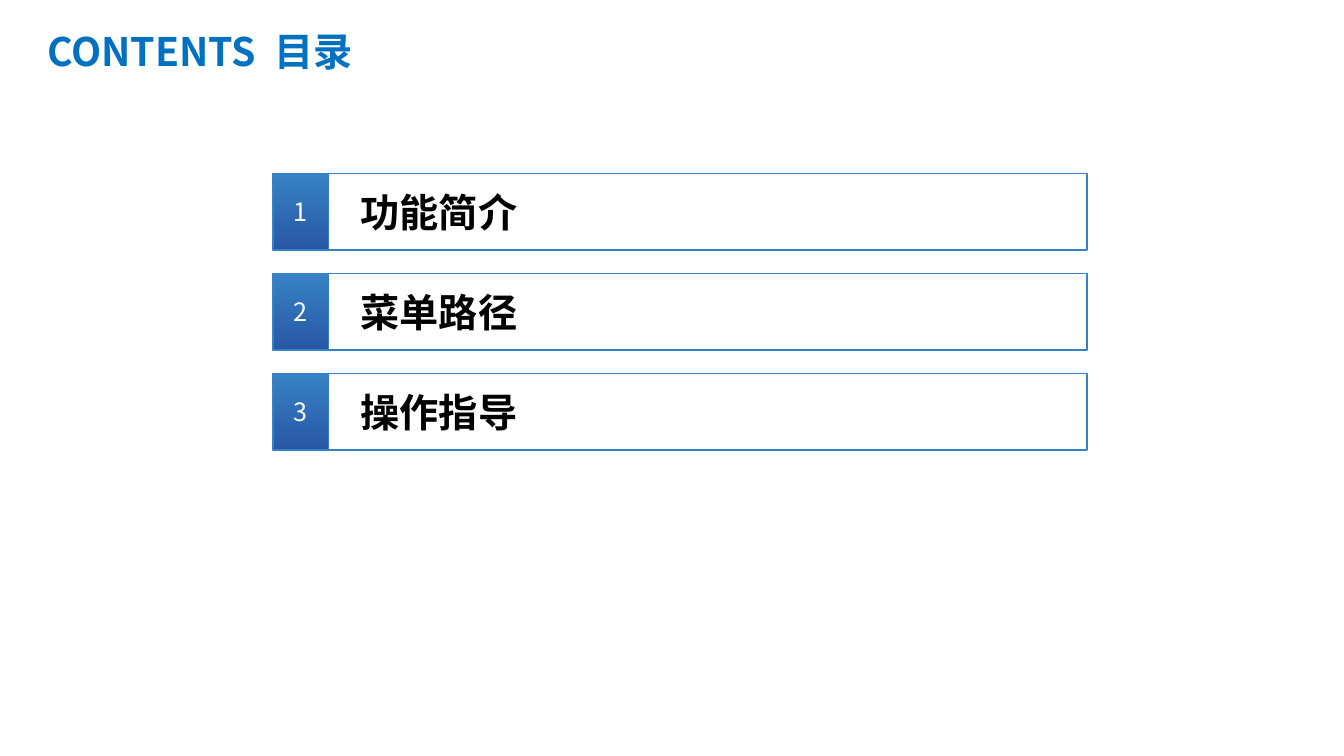
from lxml import etree
from pptx import Presentation
from pptx import util as u
from pptx.dml.color import RGBColor
from pptx.enum import shapes, text
from pptx.oxml import ns

BLUE = RGBColor(0x37, 0x82, 0xC5)
NAVY = RGBColor(0x28, 0x57, 0xA5)
TITLE = RGBColor(0x00, 0x70, 0xC0)
WHITE = RGBColor(0xFF, 0xFF, 0xFF)
BLACK = RGBColor(0x00, 0x00, 0x00)
FONT = "Noto Sans CJK SC"

TOPICS = ["功能简介", "菜单路径", "操作指导"]
LEFT, TOP, PITCH = 6.88, 4.37, 2.52
WIDTH, HEIGHT, BADGE = 20.52, 1.93, 1.4


def write(frame, words, size, color, bold=False, align=text.PP_ALIGN.LEFT):
    frame.text = words
    frame.word_wrap = True
    frame.vertical_anchor = text.MSO_ANCHOR.MIDDLE
    para = frame.paragraphs[0]
    para.alignment = align
    for run in para.runs:
        font = run.font
        font.name, font.size, font.bold = FONT, u.Pt(size), bold
        font.color.rgb = color
        # East Asian typeface follows the Latin one
        latin = run._r.get_or_add_rPr().find(ns.qn("a:latin"))
        east = etree.Element(ns.qn("a:ea"), typeface=FONT)
        latin.addnext(east)


def add_box(group, top, width):
    box = group.shapes.add_shape(
        shapes.MSO_SHAPE.RECTANGLE,
        u.Cm(LEFT), u.Cm(top), u.Cm(width), u.Cm(HEIGHT))
    box.shadow.inherit = False
    box.fill.background()
    box.line.color.rgb = BLUE
    box.line.width = u.Pt(1)
    return box


def add_badge(group, top, number):
    badge = add_box(group, top, BADGE)
    badge.fill.gradient()
    badge.fill.gradient_angle = 270
    for stop, color in zip(badge.fill.gradient_stops, (BLUE, NAVY)):
        stop.color.rgb = color
    write(badge.text_frame, str(number), 18, WHITE,
          align=text.PP_ALIGN.CENTER)


def add_topic(slide, index, words):
    top = TOP + index * PITCH
    group = slide.shapes.add_group_shape()
    add_box(group, top, WIDTH)
    add_badge(group, top, index + 1)
    label = group.shapes.add_textbox(
        u.Cm(8.84), u.Cm(top + 0.24), u.Cm(18.24), u.Cm(1.45))
    write(label.text_frame, words, 28, BLACK, bold=True)


def set_title(slide, words):
    title = slide.shapes.title
    title.left, title.top = u.Cm(0.94), u.Cm(0.48)
    title.width, title.height = u.Cm(28.91), u.Cm(1.6)
    title.text_frame.auto_size = text.MSO_AUTO_SIZE.NONE
    write(title.text_frame, words, 28, TITLE, bold=True)


def main():
    deck = Presentation()
    deck.slide_width, deck.slide_height = u.Cm(33.87), u.Cm(19.05)
    slide = deck.slides.add_slide(deck.slide_layouts[5])

    # Heading
    set_title(slide, "CONTENTS  目录")

    # Numbered topics
    for index, words in enumerate(TOPICS):
        add_topic(slide, index, words)

    deck.save("out.pptx")


if __name__ == "__main__":
    main()
